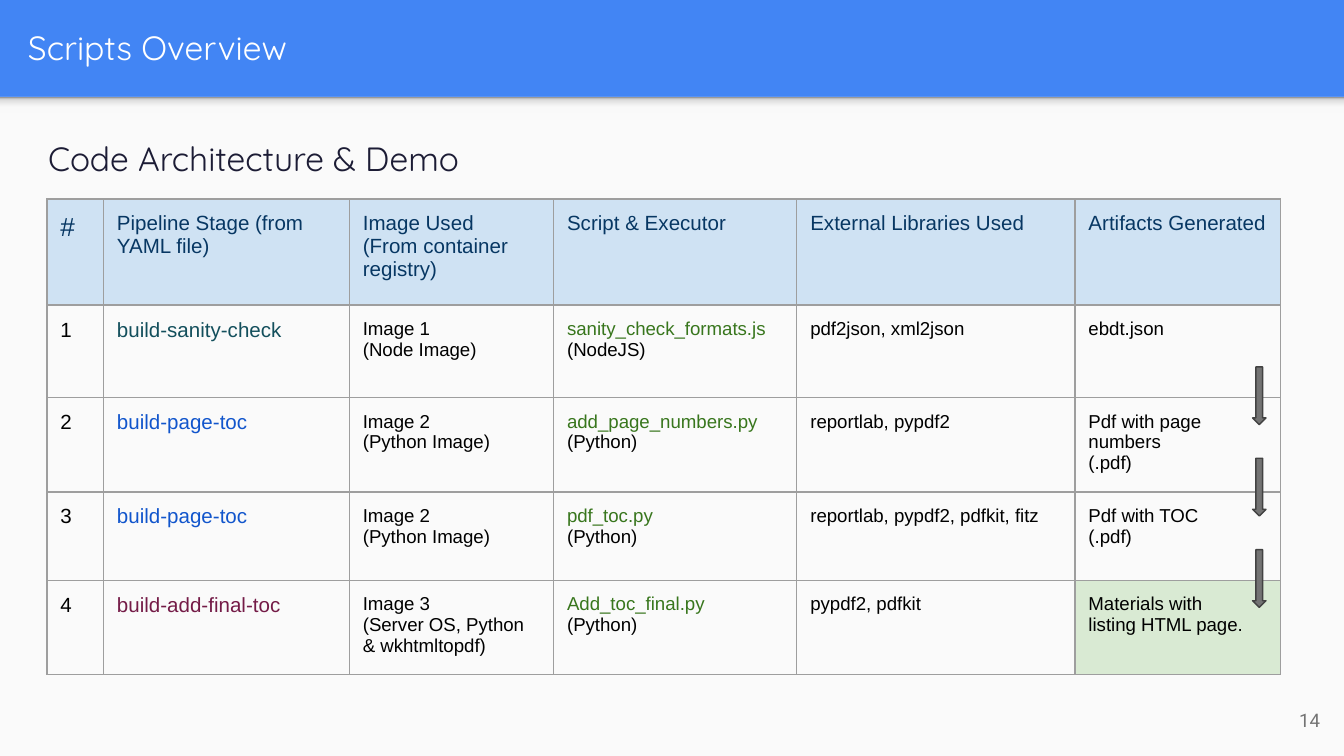
from copy import deepcopy

from lxml.etree import SubElement
from pptx import Presentation
from pptx.dml.color import RGBColor
from pptx.enum.shapes import MSO_SHAPE as Shape
from pptx.enum.text import MSO_ANCHOR as Anchor, PP_ALIGN as Align
from pptx.oxml.ns import qn
from pptx.util import Inches, Pt

BLUE = RGBColor(0x42, 0x85, 0xF4)
PAPER = RGBColor(0xFA, 0xFA, 0xFA)
WHITE = RGBColor(0xFF, 0xFF, 0xFF)
BLACK = RGBColor(0x00, 0x00, 0x00)
INK = RGBColor(0x1C, 0x1C, 0x35)
GREY = RGBColor(0x73, 0x73, 0x73)
DARK_GREY = RGBColor(0x42, 0x42, 0x42)
BORDER = RGBColor(0x9E, 0x9E, 0x9E)
NAVY = RGBColor(0x07, 0x37, 0x63)
TEAL = RGBColor(0x13, 0x4F, 0x5C)
LINK = RGBColor(0x11, 0x55, 0xCC)
PLUM = RGBColor(0x74, 0x1B, 0x47)
GREEN = RGBColor(0x38, 0x76, 0x1D)
PALE_BLUE = RGBColor(0xCF, 0xE2, 0xF3)
PALE_GREEN = RGBColor(0xD9, 0xEA, 0xD3)
SHADE_STOPS = [
    (0, RGBColor(0xF9, 0xF9, 0xF9)),
    (0.36, RGBColor(0xF9, 0xF9, 0xF9)),
    (0.8, RGBColor(0xDE, 0xDE, 0xDE)),
    (1, RGBColor(0x99, 0x99, 0x99)),
]

HEADINGS = [
    ["#"],
    ["Pipeline Stage (from YAML file)"],
    ["Image Used", "(From container registry)"],
    ["Script & Executor"],
    ["External Libraries Used"],
    ["Artifacts Generated"],
]
STAGES = [
    ("build-sanity-check", TEAL, ["Image 1", "(Node Image)"],
     ["sanity_check_formats.js", "(NodeJS)"], "pdf2json, xml2json", ["ebdt.json"]),
    ("build-page-toc", LINK, ["Image 2", "(Python Image)"],
     ["add_page_numbers.py", "(Python)"], "reportlab, pypdf2",
     ["Pdf with page numbers", "(.pdf)"]),
    ("build-page-toc", LINK, ["Image 2", "(Python Image)"],
     ["pdf_toc.py", "(Python)"], "reportlab, pypdf2, pdfkit, fitz",
     ["Pdf with TOC", "(.pdf)"]),
    ("build-add-final-toc", PLUM, ["Image 3", "(Server OS, Python & wkhtmltopdf)"],
     ["Add_toc_final.py", "(Python)"], "pypdf2, pdfkit",
     ["Materials with", "listing HTML page."]),
]
SLIDE_WIDTH = 10
SLIDE_HEIGHT = SLIDE_WIDTH * 9 / 16
COLUMN_WIDTHS = [0.42, 1.83, 1.52, 1.81, 2.07, 1.53]
ROW_HEIGHTS = [0.79, 0.69, 0.66, 0.66, 0.66]
ARROW_TOP, ARROW_STEP = 2.73, 0.68


def set_margins(target):
    target.margin_left = target.margin_right = Inches(0.1)
    target.margin_top = target.margin_bottom = Inches(0.1)


def add_span(para, text, size, color, font="Arial"):
    span = para.add_run()
    span.text = text
    span.font.size = Pt(size)
    span.font.name = font
    span.font.color.rgb = color
    SubElement(para._p, qn("a:endParaRPr"), sz=str(size * 100))


def add_text(page, place, text, size, color, font, anchor=Anchor.TOP):
    box = page.shapes.add_textbox(*map(Inches, place))
    frame = box.text_frame
    frame.word_wrap = True
    frame.vertical_anchor = anchor
    set_margins(frame)
    para = frame.paragraphs[0]
    add_span(para, text, size, color, font)
    return para


def add_block(page, kind, place):
    block = page.shapes.add_shape(kind, *map(Inches, place))
    block.shadow.inherit = False
    return block


def add_backdrop(page):
    page.background.fill.solid()
    page.background.fill.fore_color.rgb = BLUE
    panel = add_block(page, Shape.RECTANGLE, (0, 0.72, 10, 4.91))
    panel.fill.solid()
    panel.fill.fore_color.rgb = PAPER
    panel.line.fill.background()

    shade = add_block(page, Shape.RECTANGLE, (0, 0.72, 10, 0.12))
    shade.line.fill.background()
    shade.fill.gradient()
    shade.fill.gradient_angle = 90
    stop_list = shade._element.spPr.find(".//" + qn("a:gsLst"))
    for stop in list(stop_list):
        stop_list.append(deepcopy(stop))
    for stop, (position, color) in zip(shade.fill.gradient_stops, SHADE_STOPS):
        stop.position = position
        stop.color.rgb = color


def add_borders(cell):
    properties = cell._tc.get_or_add_tcPr()
    for side in ("a:lnL", "a:lnR", "a:lnT", "a:lnB"):
        line = SubElement(properties, qn(side), w=str(Pt(0.75)))
        fill = SubElement(line, qn("a:solidFill"))
        SubElement(fill, qn("a:srgbClr"), val=str(BORDER))


def fill_cell(cell, lines, fill=None):
    set_margins(cell)
    add_borders(cell)
    if fill is None:
        cell.fill.background()
    else:
        cell.fill.solid()
        cell.fill.fore_color.rgb = fill
    for index, (text, size, color) in enumerate(lines):
        frame = cell.text_frame
        para = frame.add_paragraph() if index else frame.paragraphs[0]
        add_span(para, text, size, color)


def stage_cells(number, stage):
    name, color, image, script, libraries, artifacts = stage
    return [
        [(str(number), 11, BLACK)],
        [(name, 11, color)],
        [(text, 10, BLACK) for text in image],
        [(script[0], 10, GREEN), (script[1], 10, BLACK)],
        [(libraries, 10, BLACK)],
        [(text, 10, BLACK) for text in artifacts],
    ]


def add_stage_table(page):
    table = page.shapes.add_table(
        len(ROW_HEIGHTS), len(COLUMN_WIDTHS), Inches(0.35), Inches(1.48),
        Inches(sum(COLUMN_WIDTHS)), Inches(sum(ROW_HEIGHTS))).table
    table.first_row = table.horz_banding = False
    for column, width in zip(table.columns, COLUMN_WIDTHS):
        column.width = Inches(width)
    for row, height in zip(table.rows, ROW_HEIGHTS):
        row.height = Inches(height)

    for column, texts in enumerate(HEADINGS):
        size = 11 if column else 14
        lines = [(text, size, NAVY) for text in texts]
        fill_cell(table.cell(0, column), lines, PALE_BLUE)
    final_cell = (len(STAGES), len(HEADINGS) - 1)
    for number, stage in enumerate(STAGES, 1):
        for column, lines in enumerate(stage_cells(number, stage)):
            fill = PALE_GREEN if (number, column) == final_cell else None
            fill_cell(table.cell(number, column), lines, fill)


def add_flow_arrows(page):
    for step in range(len(STAGES) - 1):
        place = (9.32, ARROW_TOP + step * ARROW_STEP, 0.1, 0.43)
        arrow = add_block(page, Shape.DOWN_ARROW, place)
        arrow.fill.solid()
        arrow.fill.fore_color.rgb = GREY
        arrow.line.color.rgb = DARK_GREY
        arrow.line.width = Pt(0.75)


def main():
    deck = Presentation()
    deck.slide_width, deck.slide_height = Inches(SLIDE_WIDTH), Inches(SLIDE_HEIGHT)
    page = deck.slides.add_slide(deck.slide_layouts[6])
    add_backdrop(page)
    add_text(page, (0.11, 0.02, 9.65, 0.66), "Scripts Overview",
             18, WHITE, "Quicksand", Anchor.MIDDLE)
    subtitle = add_text(page, (0.26, 0.88, 5.16, 0.6), "Code Architecture & Demo",
                        18, INK, "Quicksand")
    subtitle.line_spacing = 1.15
    subtitle.space_after = Pt(16)
    number = add_text(page, (9.32, 5.14, 0.6, 0.43), "14",
                      10, GREY, "Roboto", Anchor.MIDDLE)
    number.alignment = Align.RIGHT
    add_stage_table(page)
    add_flow_arrows(page)
    deck.save("out.pptx")


if __name__ == "__main__":
    main()
